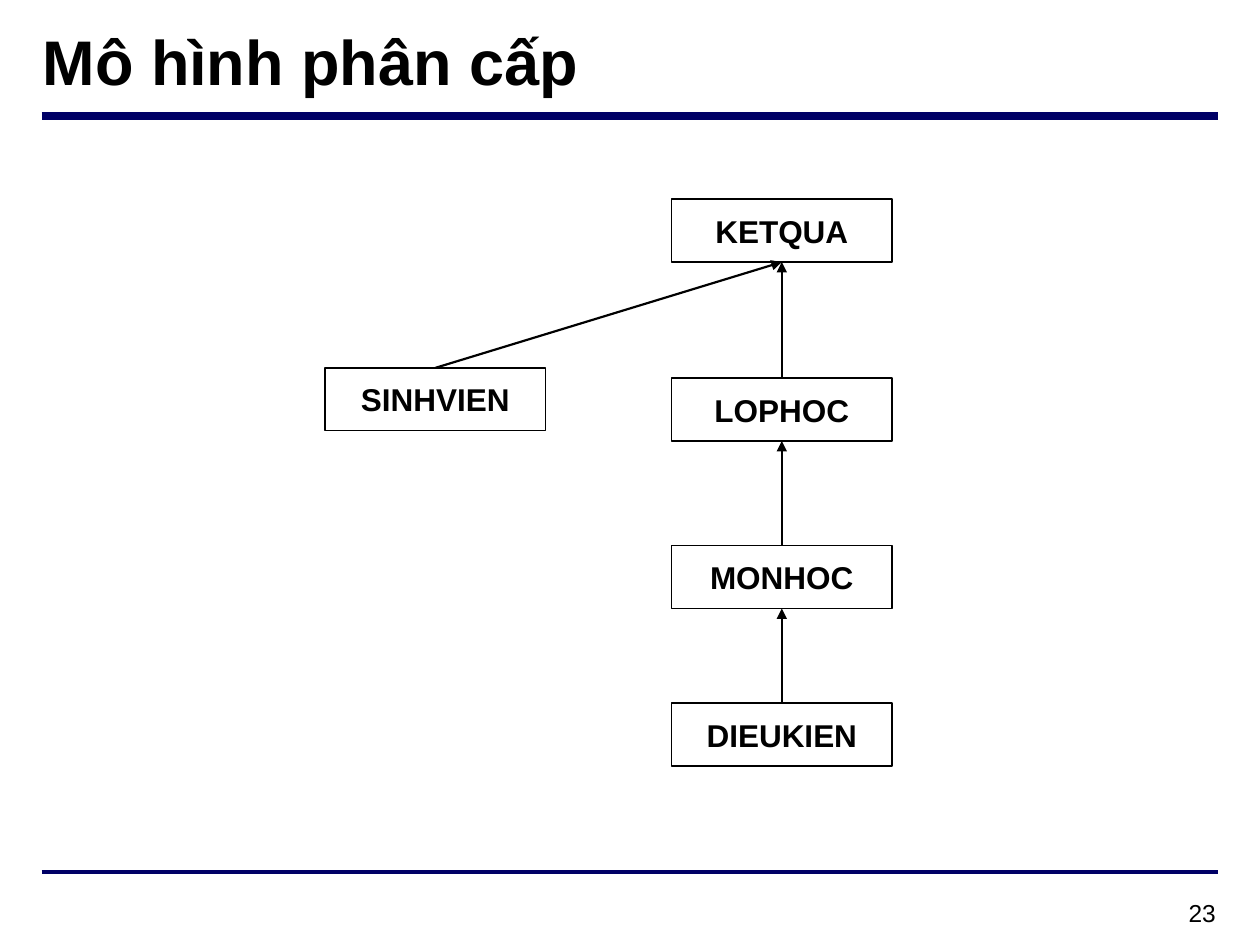
from lxml.etree import SubElement
from pptx import Presentation
from pptx.dml.color import RGBColor
from pptx.enum.shapes import MSO_CONNECTOR, MSO_SHAPE
from pptx.enum.text import MSO_ANCHOR, PP_ALIGN
from pptx.oxml.ns import qn
from pptx.util import Inches, Pt

COLORS = {"ink": "000000", "rule": "000066"}
FONT = "Arial"
BOX_WIDTH, BOX_HEIGHT = 1.75, 0.5
RECORDS = {
    "KETQUA": (5.33, 1.58),
    "SINHVIEN": (2.58, 2.92),
    "LOPHOC": (5.33, 3),
    "MONHOC": (5.33, 4.33),
    "DIEUKIEN": (5.33, 5.58),
}
LINKS = [
    ("SINHVIEN", "KETQUA"),
    ("LOPHOC", "KETQUA"),
    ("MONHOC", "LOPHOC"),
    ("DIEUKIEN", "MONHOC"),
]
TOP_SITE, BOTTOM_SITE = 0, 2


def color(name):
    return RGBColor.from_string(COLORS[name])


def write_text(shape, text, size, bold=False, align=PP_ALIGN.LEFT,
               anchor=MSO_ANCHOR.TOP, top_inset=0):
    frame = shape.text_frame
    frame.word_wrap = True
    frame.vertical_anchor = anchor
    frame.margin_left = frame.margin_right = frame.margin_bottom = 0
    frame.margin_top = Inches(top_inset)
    para = frame.paragraphs[0]
    para.alignment = align
    span = para.add_run()
    span.text = text
    span.font.name = FONT
    span.font.size = Pt(size)
    span.font.bold = bold
    span.font.color.rgb = color("ink")


def add_text(page, text, left, top, width, height, size, **style):
    box = page.shapes.add_textbox(Inches(left), Inches(top), Inches(width), Inches(height))
    write_text(box, text, size, **style)


def add_record(page, name, left, top):
    box = page.shapes.add_shape(MSO_SHAPE.RECTANGLE, Inches(left), Inches(top),
                                Inches(BOX_WIDTH), Inches(BOX_HEIGHT))
    box.shadow.inherit = False
    box.fill.background()
    box.line.color.rgb = color("ink")
    box.line.width = Pt(0.75)
    write_text(box, name, 18, bold=True, align=PP_ALIGN.CENTER, anchor=MSO_ANCHOR.MIDDLE)
    return box


def add_line(page, start, end, name, width):
    line = page.shapes.add_connector(MSO_CONNECTOR.STRAIGHT, *map(Inches, start + end))
    line.line.color.rgb = color(name)
    line.line.width = Pt(width)
    SubElement(line._element.spPr, qn("a:effectLst"))
    return line


def add_arrow(page, child, parent):
    arrow = add_line(page, (0, 0), (1, 1), "ink", 1.25)
    arrow.begin_connect(child, TOP_SITE)
    arrow.end_connect(parent, BOTTOM_SITE)
    SubElement(arrow.line._get_or_add_ln(), qn("a:tailEnd"), type="triangle")


def main():
    deck = Presentation()
    deck.slide_width, deck.slide_height = Inches(10), Inches(7.5)
    page = deck.slides.add_slide(deck.slide_layouts[6])

    for height, width in ((0.92, 4.5), (6.92, 2.25)):
        add_line(page, (0.33, height), (9.67, height), "rule", width)
    add_text(page, "Mô hình phân cấp", 0.34, 0.1, 6.5, 0.72, 36, bold=True, top_inset=0.08)

    boxes = {name: add_record(page, name, *place) for name, place in RECORDS.items()}
    for child, parent in LINKS:
        add_arrow(page, boxes[child], boxes[parent])

    add_text(page, "23", 9.39, 7.13, 0.26, 0.25, 14, align=PP_ALIGN.RIGHT)
    deck.save("out.pptx")


if __name__ == "__main__":
    main()
